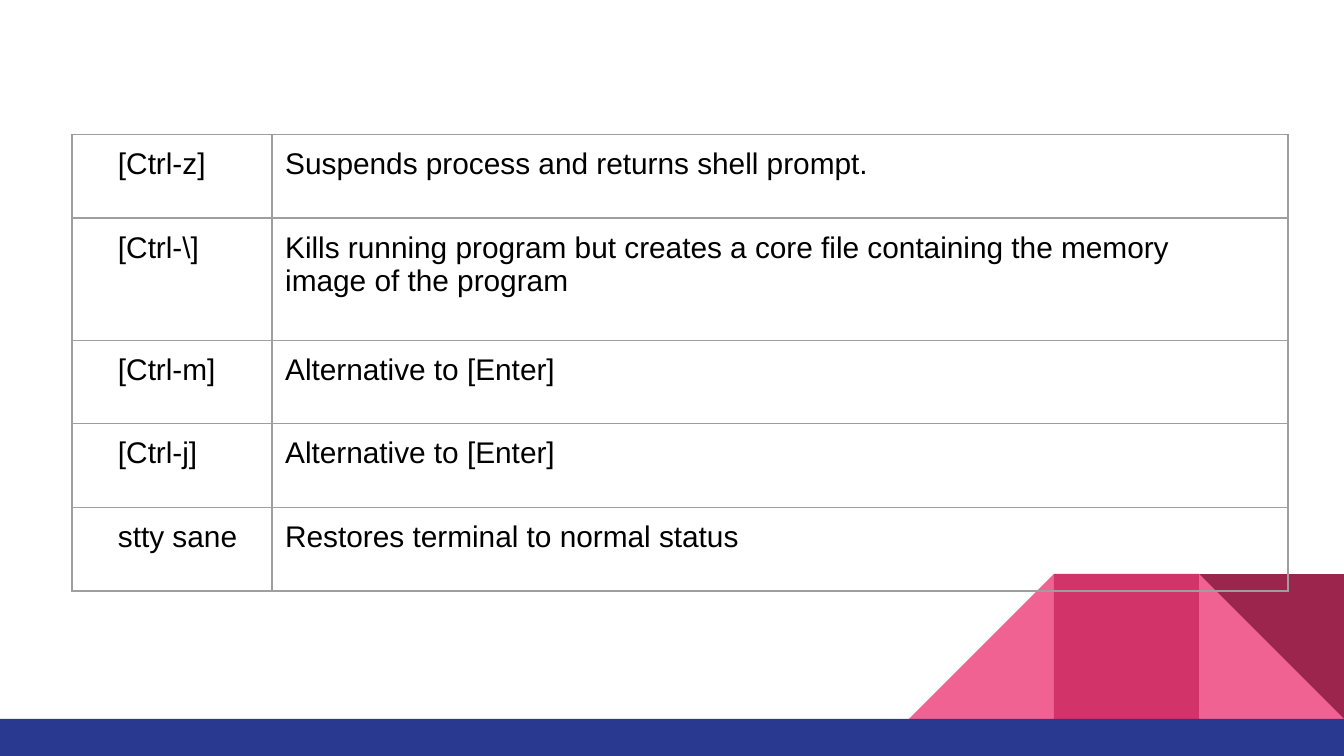
"""Build a slide with a table of terminal control keys above a geometric footer."""
import pptx
import pptx.dml.color
import pptx.enum.shapes
import pptx.oxml
import pptx.oxml.ns
import pptx.util

Cm = pptx.util.Cm
Pt = pptx.util.Pt
SHAPE = pptx.enum.shapes.MSO_SHAPE


def paint(color_format, color):
    color_format.rgb = pptx.dml.color.RGBColor.from_string(color)


def add_block(kind, left, top, width, height, color):
    block = page.shapes.add_shape(kind, Cm(left), Cm(top), Cm(width), Cm(height))
    block.shadow.inherit = False
    block.fill.solid()
    paint(block.fill.fore_color, color)
    block.line.fill.background()
    return block


deck = pptx.Presentation()
deck.slide_width = Cm(25.4)
deck.slide_height = Cm(14.29)
page = deck.slides.add_slide(deck.slide_layouts[6])

side = 2.74
bar_top = 13.59
block_top = bar_top - side
lefts = [25.4 - side * count for count in (3, 2, 1)]

add_block(SHAPE.RIGHT_TRIANGLE, lefts[2], block_top, side, side, "F06292")
slope = add_block(SHAPE.RIGHT_TRIANGLE, lefts[0], block_top, side, side, "F06292")
slope.element.spPr.find(pptx.oxml.ns.qn("a:xfrm")).set("flipH", "1")
add_block(SHAPE.RECTANGLE, lefts[1], block_top, side, side, "D23369")
corner = add_block(SHAPE.RIGHT_TRIANGLE, lefts[2], block_top, side, side, "9C254D")
corner.rotation = 180
add_block(SHAPE.RECTANGLE, 0, bar_top, 25.4, 0.7, "2A3990")

entries = [
    ("[Ctrl-z]", "Suspends process and returns shell prompt."),
    ("[Ctrl-\\]", "Kills running program but creates a core file containing the memory\n"
                  "image of the program"),
    ("[Ctrl-m]", "Alternative to [Enter]"),
    ("[Ctrl-j]", "Alternative to [Enter]"),
    ("stty sane", "Restores terminal to normal status"),
]
widths = [3.78, 19.2]
heights = [1.58, 2.31, 1.58, 1.58, 1.58]
indents = [0.87, 0.25]

frame = page.shapes.add_table(
    len(entries), len(widths), Cm(1.36), Cm(2.54), Cm(sum(widths)), Cm(sum(heights)))
table = frame.table
table.first_row = False
table.horz_banding = False
for column, width in zip(table.columns, widths):
    column.width = Cm(width)

for row, height, entry in zip(table.rows, heights, entries):
    row.height = Cm(height)
    for cell, text, indent in zip(row.cells, entry, indents):
        cell.text = text
        cell.margin_left = Cm(indent)
        cell.margin_right = cell.margin_top = cell.margin_bottom = Cm(0.25)
        properties = cell._tc.get_or_add_tcPr()
        for edge in ("lnL", "lnR", "lnT", "lnB"):
            properties.append(pptx.oxml.parse_xml(
                f'<a:{edge} {pptx.oxml.ns.nsdecls("a")} w="9525"><a:solidFill>'
                f'<a:srgbClr val="9E9E9E"/></a:solidFill></a:{edge}>'))
        cell.fill.background()
        for para in cell.text_frame.paragraphs:
            para.font.name = "Arial"
            para.font.size = Pt(16)
            paint(para.font.color, "000000")

deck.save("out.pptx")
